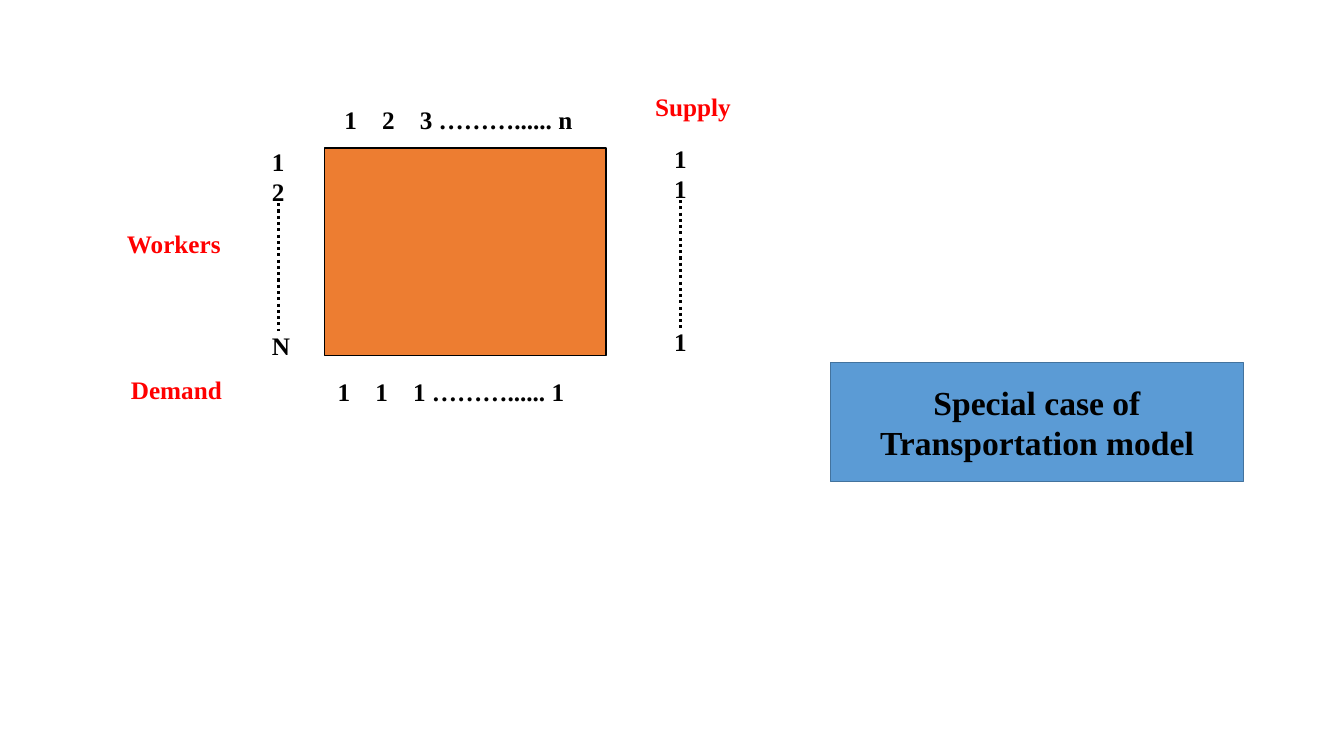
from lxml import etree
from pptx import Presentation
from pptx.dml.color import RGBColor
from pptx.enum.dml import MSO_LINE
from pptx.enum.shapes import MSO_CONNECTOR, MSO_SHAPE
from pptx.enum.text import MSO_ANCHOR, PP_ALIGN
from pptx.oxml.ns import qn
from pptx.util import Cm, Pt

RECT = MSO_SHAPE.RECTANGLE
STRAIGHT = MSO_CONNECTOR.STRAIGHT
DOTTED = MSO_LINE.ROUND_DOT
MIDDLE = MSO_ANCHOR.MIDDLE
CENTER = PP_ALIGN.CENTER

FONT = "Times New Roman"
BLACK, RED = "000000", "FF0000"
TAB_STEP = 0.95
COLUMN_GAP = 88

MATRIX = (8.18, 3.73, 7.09, 5.23)
TITLES = [
    ("Workers", 2.95, 5.64),
    ("Supply", 16.26, 2.18),
    ("Demand", 3.05, 9.3),
]
ROWS = [
    ("1\t2\t3 ………...... n", 8.43, 2.51),
    ("1\t1\t1 ………...... 1", 8.26, 9.35),
]
COLUMNS = [
    (("1", "2", "N"), 6.6, 3.56),
    (("1", "1", "1"), 16.74, 3.48),
]
NOTE = ("Special case of Transportation model", (20.93, 9.14, 10.41, 3))


def color(value):
    return RGBColor.from_string(value)


def add_run(p, text, size=18, ink=BLACK):
    r = p.add_run()
    r.text = text
    r.font.name = FONT
    r.font.size = Pt(size)
    r.font.bold = True
    r.font.color.rgb = color(ink)


def add_text(s, lines, x, y, w, h, ink=BLACK):
    tf = s.shapes.add_textbox(Cm(x), Cm(y), Cm(w), Cm(h)).text_frame
    tf.word_wrap = True
    for i, line in enumerate(lines):
        p = tf.paragraphs[0] if i == 0 else tf.add_paragraph()
        add_run(p, line, ink=ink)
    return tf


def add_tabs(p, count):
    tabs = etree.SubElement(p._p.get_or_add_pPr(), qn("a:tabLst"))
    for i in range(1, count + 1):
        etree.SubElement(tabs, qn("a:tab"), pos=str(Cm(TAB_STEP * i)), algn="l")


def add_box(s, frame, fill, line):
    sp = s.shapes.add_shape(RECT, *map(Cm, frame))
    sp.shadow.inherit = False
    sp.fill.solid()
    sp.fill.fore_color.rgb = color(fill)
    sp.line.color.rgb = color(line)
    sp.line.width = Pt(1)
    return sp


def add_dots(s, x, y, length):
    cx = s.shapes.add_connector(STRAIGHT, Cm(x), Cm(y), Cm(x), Cm(y + length))
    cx.line.color.rgb = color(BLACK)
    cx.line.width = Pt(2.25)
    cx.line.dash_style = DOTTED
    etree.SubElement(cx._element.spPr, qn("a:effectLst"))


def main():
    prs = Presentation()
    prs.slide_width, prs.slide_height = Cm(33.87), Cm(19.05)
    s = prs.slides.add_slide(prs.slide_layouts[6])

    add_box(s, MATRIX, "ED7D31", BLACK)
    for text, x, y in TITLES:
        add_text(s, [text], x, y, 3.15, 1.02, RED)
    for text, x, y in ROWS:
        tf = add_text(s, [text], x, y, 6.81, 1.02)
        add_tabs(tf.paragraphs[0], text.count("\t"))
    for lines, x, y in COLUMNS:
        tf = add_text(s, lines, x, y, 0.97, 5.64)
        tf.paragraphs[-1].space_before = Pt(COLUMN_GAP)
        add_dots(s, x + 0.41, y + 1.56, 3.22)

    text, frame = NOTE
    tf = add_box(s, frame, "5B9BD5", "43739E").text_frame
    tf.word_wrap = True
    tf.vertical_anchor = MIDDLE
    p = tf.paragraphs[0]
    p.alignment = CENTER
    add_run(p, text, 24)

    prs.save("out.pptx")


if __name__ == "__main__":
    main()
